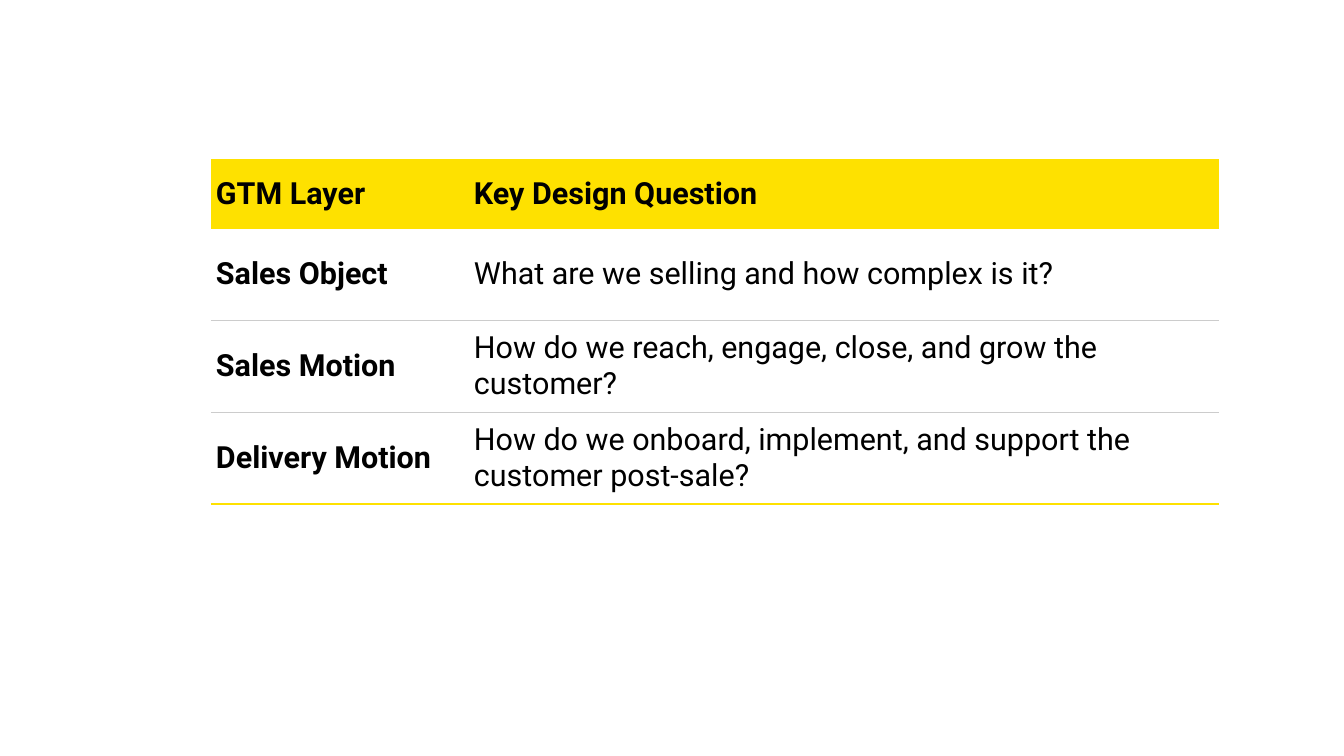
from pptx import Presentation
from pptx.dml.color import RGBColor
from pptx.enum.text import MSO_ANCHOR
from pptx.oxml.ns import qn
from pptx.util import Emu, Pt
from lxml.etree import SubElement

PX = 914400 / 122
YELLOW = "FEE100"
WHITE = "FFFFFF"
BLACK = "000000"
GREY = "CCCCCC"

COLUMN_WIDTHS = [258, 750]
ROW_HEIGHTS = [68, 92, 92, 92]
ROWS = [
    ("GTM Layer", "Key Design Question"),
    ("Sales Object", "What are we selling and how complex is it?"),
    ("Sales Motion", "How do we reach, engage, close, and grow the customer?"),
    ("Delivery Motion", "How do we onboard, implement, and support the customer post-sale?"),
]
BOTTOM_BORDERS = [(YELLOW, 0.85), (GREY, 0.5), (GREY, 0.5), (YELLOW, 0.85)]


def px(length):
    return Emu(round(length * PX))


def color(value):
    return RGBColor.from_string(value)


def add_border(cell, side, border):
    properties = cell._tc.get_or_add_tcPr()
    line = SubElement(properties, qn(f"a:ln{side}"))
    if border is None:
        line.set("w", "0")
        SubElement(line, qn("a:noFill"))
        return
    value, width = border
    line.set("w", str(Pt(width)))
    fill = SubElement(line, qn("a:solidFill"))
    SubElement(fill, qn("a:srgbClr")).set("val", value)


def style_cell(cell, text, bold, fill, top, bottom):
    for side, border in (("L", None), ("R", None), ("T", top), ("B", bottom)):
        add_border(cell, side, border)
    cell.fill.solid()
    cell.fill.fore_color.rgb = color(fill)
    cell.margin_left = cell.margin_right = px(5)
    cell.margin_top = cell.margin_bottom = px(6)
    cell.vertical_anchor = MSO_ANCHOR.MIDDLE
    cell.text = text
    font = cell.text_frame.paragraphs[0].font
    font.name = "Roboto"
    font.size = Pt(18)
    font.bold = bold
    font.color.rgb = color(BLACK)


def add_question_table(slide, left, top):
    frame = slide.shapes.add_table(
        len(ROWS), len(COLUMN_WIDTHS), px(left), px(top),
        px(sum(COLUMN_WIDTHS)), px(sum(ROW_HEIGHTS)),
    )
    table = frame.table
    table.first_row = False
    table.horz_banding = False
    for column, width in zip(table.columns, COLUMN_WIDTHS):
        column.width = px(width)
    for row, height in zip(table.rows, ROW_HEIGHTS):
        row.height = px(height)
    top_borders = [(YELLOW, 0.85)] + BOTTOM_BORDERS[:-1]
    for i, texts in enumerate(ROWS):
        header = i == 0
        for j, text in enumerate(texts):
            style_cell(
                table.cell(i, j), text, header or j == 0,
                YELLOW if header else WHITE, top_borders[i], BOTTOM_BORDERS[i],
            )


def main():
    presentation = Presentation()
    presentation.slide_width = px(1344)
    presentation.slide_height = px(756)
    slide = presentation.slides.add_slide(presentation.slide_layouts[6])
    add_question_table(slide, 211, 160)
    presentation.save("out.pptx")


if __name__ == "__main__":
    main()
